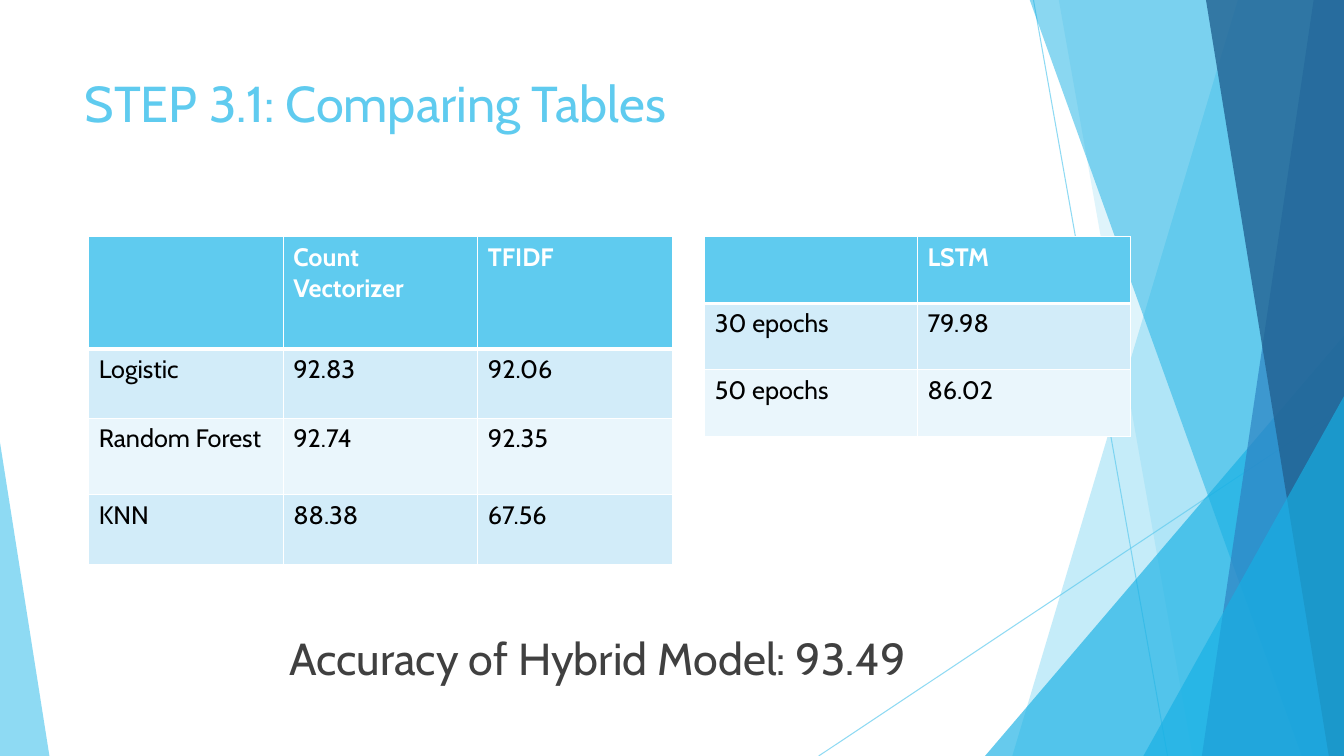
from lxml.etree import SubElement as Sub
from pptx import Presentation
from pptx.dml.color import RGBColor
from pptx.enum.shapes import MSO_CONNECTOR as Conn, MSO_SHAPE as Kind
from pptx.enum.text import MSO_ANCHOR as Anchor, PP_ALIGN as Align
from pptx.oxml import parse_xml
from pptx.oxml.ns import nsdecls, qn
from pptx.util import Inches, Pt

FONT = "Cabin"
SKY = RGBColor(0x5F, 0xCB, 0xEF)
CYAN = RGBColor(0x17, 0xB0, 0xE4)
BLUE = RGBColor(0x2E, 0x83, 0xC3)
NAVY = RGBColor(0x22, 0x62, 0x92)
PALE = RGBColor(0xD2, 0xEC, 0xF9)
MIST = RGBColor(0xEA, 0xF6, 0xFC)
WHITE = RGBColor(0xFF, 0xFF, 0xFF)
BLACK = RGBColor(0, 0, 0)
GRAY = RGBColor(0x40, 0x40, 0x40)
WIDE, HIGH = 13.33, 7.5

TITLE = "STEP 3.1: Comparing Tables"
RESULT = "Accuracy of Hybrid Model: 93.49"
TABLES = [
    ((0.88, 2.35), 1.93, [1.11, 0.69, 0.76, 0.69], [
        ["", "Count Vectorizer", "TFIDF"],
        ["Logistic", "92.83", "92.06"],
        ["Random Forest", "92.74", "92.35"],
        ["KNN", "88.38", "67.56"]]),
    ((6.99, 2.35), 2.11, [0.66] * 3, [
        ["", "LSTM"],
        ["30 epochs", "79.98"],
        ["50 epochs", "86.02"]]),
]
RAYS = [(10.25, 0, 11.58, HIGH), (WIDE, 4.03, 8.12, HIGH)]
FACETS = [
    ("band", (12.28, 10.04), SKY, 36),
    ("band", (10.5, 11.83), SKY, 20),
    ("peak", (9.77, 3.33, 3.56, 1), CYAN, 66),
    ("band", (10.21, 12.91), CYAN, 50),
    ("band", (13.03, 11.92), BLUE, 70),
    ("band", (11.96, 13.18), NAVY, 80),
    ("peak", (11.34, 3.93, 1.99, 1), CYAN, 66),
    ("peak", (0, 4.39, 0.49, 0), SKY, 70),
]

deck = Presentation()
deck.slide_width, deck.slide_height = Inches(WIDE), Inches(HIGH)
slide = deck.slides.add_slide(deck.slide_layouts[5])
shapes = slide.shapes


def fade(part, alpha):
    for tint in part.iter(qn("a:srgbClr")):
        Sub(tint, qn("a:alpha")).set("val", str(alpha * 1000))


def write(frame, text, size, color, bold=False):
    para = frame.paragraphs[0]
    para.alignment = Align.LEFT
    run = para.add_run()
    run.text = text
    font = run.font
    font.name, font.size, font.bold = FONT, Pt(size), bold
    font.color.rgb = color
    return para


def add_ray(ends):
    ray = shapes.add_connector(Conn.STRAIGHT, *map(Inches, ends))
    ray.line.color.rgb = SKY
    ray.line.width = Pt(0.75)
    props = ray._element.spPr
    fade(props, 70)
    Sub(props, qn("a:effectLst"))


def add_facet(kind, dims, color, alpha):
    if kind == "band":
        top, base = map(Inches, dims)
        edge, head, foot = map(Inches, (WIDE, -0.01, HIGH))
        pen = shapes.build_freeform(top, head)
        pen.add_line_segments([(edge, head), (edge, foot), (base, foot)])
        facet = pen.convert_to_shape()
    else:
        left, top, width, apex = dims
        box = map(Inches, (left, top, width, HIGH - top))
        facet = shapes.add_shape(Kind.ISOSCELES_TRIANGLE, *box)
        facet.adjustments[0] = apex
    facet.shadow.inherit = False
    facet.line.fill.background()
    facet.fill.solid()
    facet.fill.fore_color.rgb = color
    fade(facet._element.spPr, alpha)


def edge_cell(cell, first):
    props = cell._tc.get_or_add_tcPr()
    for spot, side in enumerate("LRTB"):
        width = Pt(3 if first and side == "B" else 1)
        props.insert(spot, parse_xml(
            f'<a:ln{side} {nsdecls("a")} w="{width}"><a:solidFill>'
            f'<a:srgbClr val="{WHITE}"/></a:solidFill></a:ln{side}>'))


def add_grid(spot, wide, highs, rows):
    count = len(rows[0])
    box = map(Inches, (*spot, wide * count, sum(highs)))
    grid = shapes.add_table(len(rows), count, *box).table
    for col in grid.columns:
        col.width = Inches(wide)
    for r, (high, row) in enumerate(zip(highs, rows)):
        grid.rows[r].height = Inches(high)
        first = r == 0
        fill = SKY if first else (MIST, PALE)[r % 2]
        for c, text in enumerate(row):
            cell = grid.cell(r, c)
            cell.fill.solid()
            cell.fill.fore_color.rgb = fill
            edge_cell(cell, first)
            if text:
                write(cell.text_frame, text, 18, WHITE if first else BLACK, first)


def place(shape, box):
    shape.left, shape.top, shape.width, shape.height = map(Inches, box)
    frame = shape.text_frame
    frame.word_wrap = True
    frame.vertical_anchor = Anchor.TOP
    return frame


for ray in RAYS:
    add_ray(ray)
for facet in FACETS:
    add_facet(*facet)
write(place(shapes.title, (0.74, 0.67, 9.4, 1.44)), TITLE, 36, SKY)
for table in TABLES:
    add_grid(*table)
note = shapes.add_textbox(0, 0, 0, 0)
para = write(place(note, (2.77, 6.21, 6.87, 0.73)), RESULT, 32, GRAY)
para.space_before = Pt(10)

deck.save("out.pptx")
